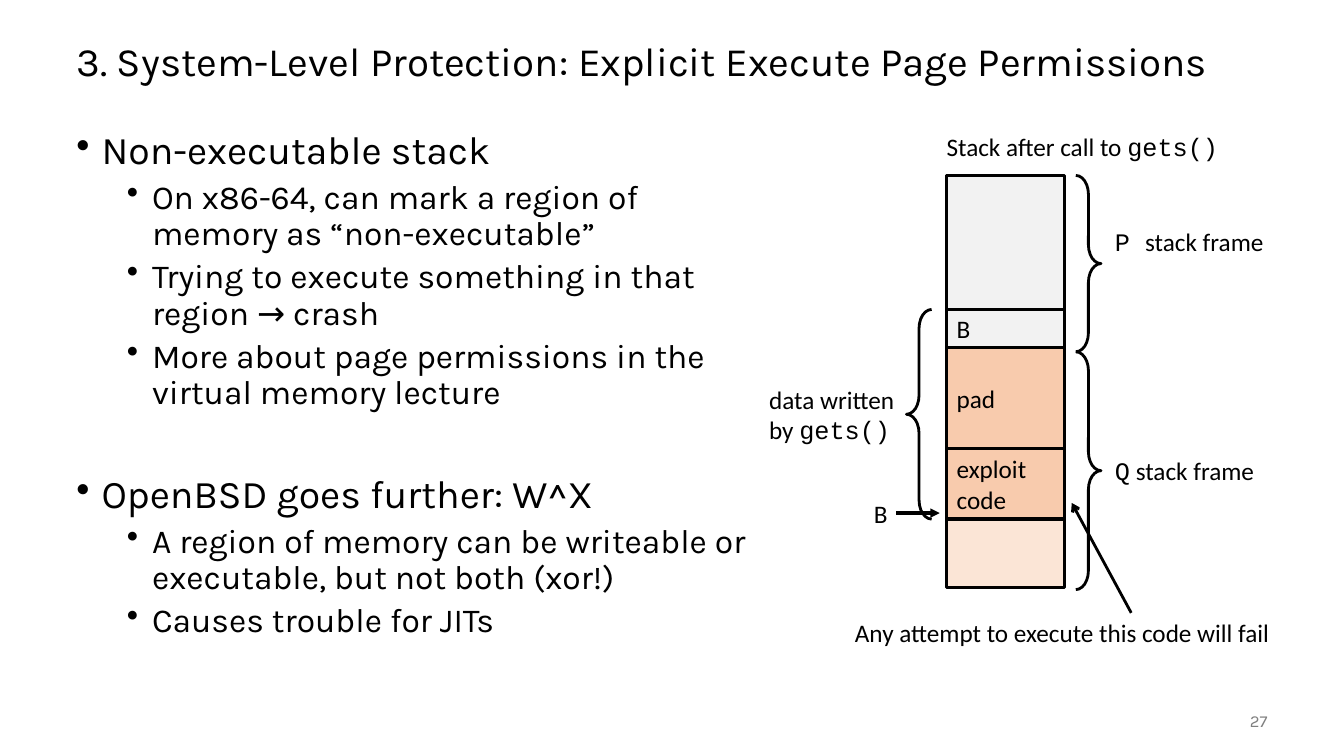
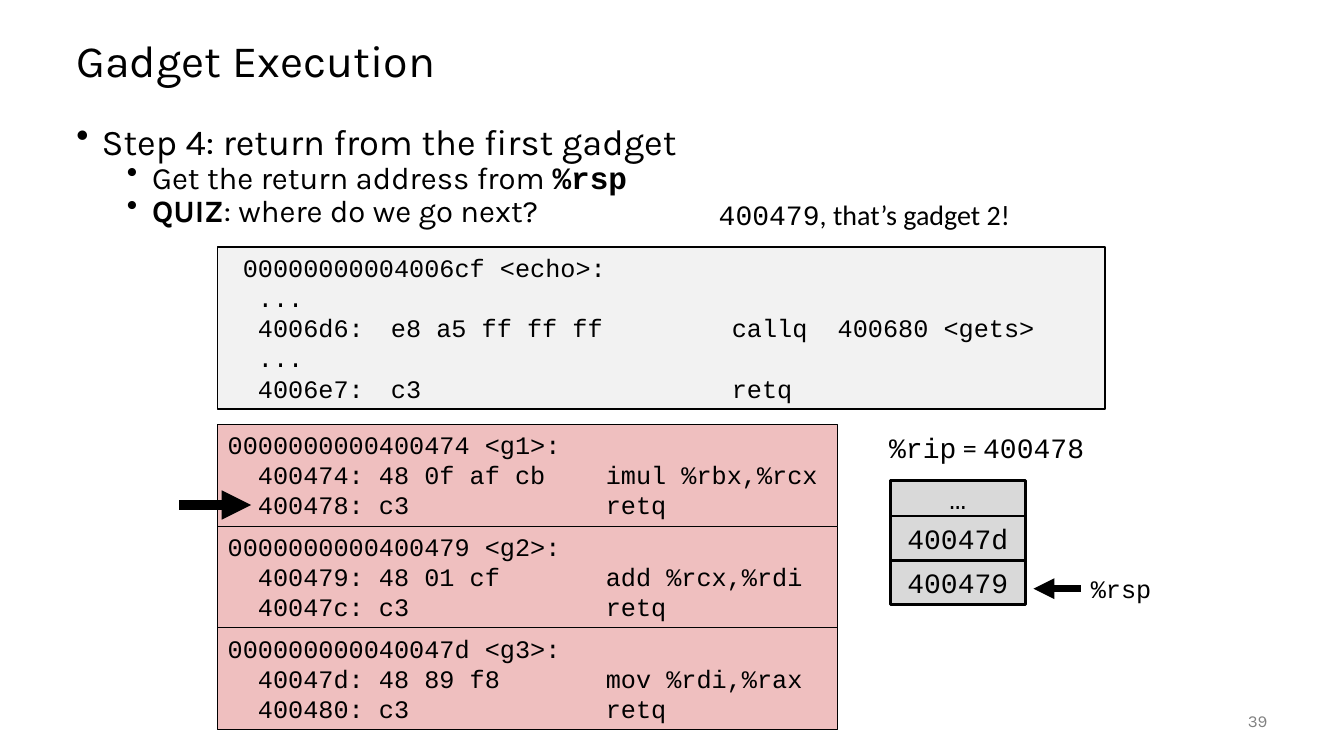
import dataclasses

import lxml.etree
import pptx
import pptx.dml.color
import pptx.enum.shapes
import pptx.enum.text
import pptx.oxml.ns
import pptx.util

Inches = pptx.util.Inches
Pt = pptx.util.Pt
Shapes = pptx.enum.shapes.MSO_SHAPE
Align = pptx.enum.text.PP_ALIGN
Anchor = pptx.enum.text.MSO_ANCHOR


@dataclasses.dataclass(frozen=True)
class Theme:
    """Colours, fonts and type sizes shared by the slides."""
    ink: str = "000000"
    muted: str = "808080"
    pale: str = "F2F2F2"
    gray: str = "D9D9D9"
    peach: str = "F8CBAD"
    light_peach: str = "FBE5D6"
    pink: str = "EFBFBF"
    heading: str = "Karla"
    label: str = "Calibri"
    code: str = "Courier New"
    label_size: float = 18
    value_size: float = 20
    number_size: float = 12


THEME = Theme()
HEADING = {"name": THEME.heading}
LABEL = {"name": THEME.label, "size": Pt(THEME.label_size)}
CODE = {"name": THEME.code, "size": Pt(THEME.label_size)}
VALUE = {"name": THEME.code, "size": Pt(THEME.value_size)}
MONO = {"name": THEME.code}


def rgb(color):
    """Return a colour object for a hexadecimal string."""
    return pptx.dml.color.RGBColor.from_string(color)


def apply(target, values):
    """Set each named attribute on the target."""
    for name, value in values.items():
        setattr(target, name, value)


def add_element(parent, tag, **attributes):
    """Append a drawing element to its parent."""
    return lxml.etree.SubElement(parent, pptx.oxml.ns.qn(tag), attributes)


def write_paragraph(paragraph, runs, font, color=THEME.ink, **layout):
    """Fill a paragraph with runs, each plain text or text with font changes."""
    apply(paragraph, layout)
    for run_spec in [runs] if isinstance(runs, str) else runs:
        text, changes = (run_spec, {}) if isinstance(run_spec, str) else run_spec
        run = paragraph.add_run()
        run.text = text
        apply(run.font, {**font, **changes})
        run.font.color.rgb = rgb(color)


def paragraphs_for(frame, count):
    """Return the given number of paragraphs in a new frame."""
    return [frame.paragraphs[0]] + [frame.add_paragraph() for _ in range(count - 1)]


def write_lines(frame, lines, font, tabs=(), **layout):
    """Write lines of text with common font, tab stops and layout."""
    for paragraph, runs in zip(paragraphs_for(frame, len(lines)), lines):
        if tabs:
            tab_list = add_element(paragraph._p.get_or_add_pPr(), "a:tabLst")
            for stop in tabs:
                add_element(tab_list, "a:tab", pos=str(Inches(stop)), algn="l")
        write_paragraph(paragraph, runs, font, **layout)


def add_label(slide, box, lines, font, wrap=False, anchor=Anchor.TOP, **layout):
    """Add a text box."""
    frame = slide.shapes.add_textbox(*map(Inches, box)).text_frame
    fit = pptx.enum.text.MSO_AUTO_SIZE
    apply(frame, {"word_wrap": wrap, "vertical_anchor": anchor,
                  "auto_size": fit.NONE if wrap else fit.SHAPE_TO_FIT_TEXT})
    write_lines(frame, lines, font, **layout)
    return frame


def add_shape(slide, kind, box, fill, width):
    """Add an outlined preset shape, filled when a colour is given."""
    shape = slide.shapes.add_shape(kind, *map(Inches, box))
    shape.shadow.inherit = False
    if fill:
        shape.fill.solid()
        shape.fill.fore_color.rgb = rgb(fill)
    else:
        shape.fill.background()
    shape.line.color.rgb = rgb(THEME.ink)
    shape.line.width = Pt(width)
    return shape


def add_cell(slide, box, fill, width, lines=(), font=LABEL, anchor=Anchor.MIDDLE,
             alignment=Align.LEFT, tabs=()):
    """Add a rectangle holding lines of text."""
    shape = add_shape(slide, Shapes.RECTANGLE, box, fill, width)
    apply(shape.text_frame, {"word_wrap": True, "vertical_anchor": anchor})
    if lines:
        write_lines(shape.text_frame, lines, font, tabs, alignment=alignment)


def add_brace(slide, kind, box):
    """Add a rounded curly brace."""
    brace = add_shape(slide, kind, box, None, 2)
    brace.adjustments[0] = 0.75


def add_arrow(slide, start, end, width, head="triangle"):
    """Add a straight arrow pointing at its end."""
    connector = slide.shapes.add_connector(
        pptx.enum.shapes.MSO_CONNECTOR.STRAIGHT, *map(Inches, start + end))
    connector.line.color.rgb = rgb(THEME.ink)
    connector.line.width = Pt(width)
    add_element(connector.line._get_or_add_ln(), "a:tailEnd", type=head)
    add_element(connector._element.spPr, "a:effectLst")


def add_page(presentation, title, title_size, number):
    """Add a blank slide with its title and page number."""
    slide = presentation.slides.add_slide(presentation.slide_layouts[6])
    add_label(slide, (0.66, 0.25, 12, 0.75), [title], {**HEADING, "size": Pt(title_size)},
              wrap=True, anchor=Anchor.MIDDLE, line_spacing=0.9)
    add_label(slide, (11.67, 6.95, 1, 0.4), [str(number)],
              {**HEADING, "size": Pt(THEME.number_size)}, wrap=True,
              anchor=Anchor.MIDDLE, alignment=Align.RIGHT, color=THEME.muted)
    return slide


def add_bullets(slide, box, items, sizes, line_spacing, topic_gap=14):
    """Add a two-level bullet list of (level, runs) items."""
    frame = slide.shapes.add_textbox(*map(Inches, box)).text_frame
    frame.word_wrap = True
    for index, (paragraph, (level, runs)) in enumerate(
            zip(paragraphs_for(frame, len(items)), items)):
        properties = paragraph._p.get_or_add_pPr()
        properties.set("marL", str(Inches(0.25 + 0.5 * level)))
        properties.set("indent", str(Inches(-0.25)))
        add_element(properties, "a:buChar", char="•")
        gap = 0 if index == 0 else (topic_gap, 5)[level]
        write_paragraph(paragraph, runs, {**HEADING, "size": Pt(sizes[level])},
                        level=level, line_spacing=line_spacing, space_before=Pt(gap))


def add_stack_diagram(slide, left, top):
    """Draw the overwritten stack with its frames and annotations."""
    width = 1.17
    cells = [(1.33, THEME.pale, []), (0.38, THEME.pale, ["B"]), (1, THEME.peach, ["pad"]),
             (0.7, THEME.peach, ["exploit", "code"]), (0.68, THEME.light_peach, [])]
    offset = 0
    for height, fill, lines in cells:
        add_cell(slide, (left, top + offset, width, height), fill, 2.25, lines)
        offset += height

    for kind, x, y, height in [(Shapes.RIGHT_BRACE, 1.28, 0, 1.75),
                               (Shapes.RIGHT_BRACE, 1.28, 1.75, 2.36),
                               (Shapes.LEFT_BRACE, -0.4, 1.33, 2.08)]:
        add_brace(slide, kind, (left + x, top + y, 0.25, height))

    for x, y, label_width, runs in [
            (-0.1, -0.49, 2.93, ["Stack after call to ", ("gets()", MONO)]),
            (1.57, 0.46, 1.7, [("P ", MONO), "stack frame"]),
            (1.57, 2.73, 1.61, [("Q", MONO), " stack frame"]),
            (-0.82, 3.15, 0.34, "B")]:
        add_label(slide, (left + x, top + y, label_width, 0.4), [runs], LABEL)
    add_label(slide, (left - 1.86, top + 2.02, 1.5, 0.71),
              ["data written", ["by ", ("gets()", MONO)]], LABEL,
              wrap=True, anchor=Anchor.MIDDLE)
    add_label(slide, (left - 1.2, top + 4.34, 4.5, 0.4),
              ["Any attempt to execute this code will fail"], LABEL, alignment=Align.RIGHT)

    add_arrow(slide, (left - 0.5, top + 3.35), (left - 0.07, top + 3.35), 2.25)
    add_arrow(slide, (left + 1.83, top + 4.34), (left + 1.24, top + 3.25), 2, "arrow")


def add_code_listing(slide, left, top):
    """Draw the calling function and the gadgets below it."""
    echo = [" 00000000004006cf <echo>:", "  ...",
            "  4006d6:\te8 a5 ff ff ff\tcallq  400680 <gets>", "  ...",
            "  4006e7:\tc3\tretq"]
    gadgets = [
        ["0000000000400474 <g1>:", "  400474: 48 0f af cb\timul %rbx,%rcx", "  400478: c3\tretq"],
        ["0000000000400479 <g2>:", "  400479: 48 01 cf\tadd %rcx,%rdi", "  40047c: c3\tretq"],
        ["000000000040047d <g3>:", "  40047d: 48 89 f8\tmov %rdi,%rax", "  400480: c3\tretq"]]
    add_cell(slide, (left, top, 8.8, 1.61), THEME.pale, 1, echo, CODE, Anchor.TOP,
             tabs=(1.62, 5))
    height = 1.01
    for index, lines in enumerate(gadgets):
        add_cell(slide, (left, top + 1.76 + index * height, 6.15, height), THEME.pink, 0.75,
                 lines, CODE, Anchor.TOP, tabs=(3.75,))
    add_arrow(slide, (left - 0.38, top + 2.56), (left + 0.33, top + 2.56), 7)


def add_register_state(slide, left, top):
    """Draw the instruction pointer, the stack values and the stack pointer."""
    add_label(slide, (left - 0.11, top - 0.55, 2.15, 0.44),
              [["%rip", (" = ", {"name": THEME.label}), "400478"]], VALUE)
    offset = 0
    for height, value in [(0.35, "…"), (0.44, "40047d"), (0.44, "400479")]:
        add_cell(slide, (left, top + offset, 1.34, height), THEME.gray, 2, [value], VALUE,
                 alignment=Align.CENTER)
        offset += height
    add_label(slide, (left + 1.89, top + 0.87, 1.02, 0.4), ["%rsp"], CODE, wrap=True)
    add_arrow(slide, (left + 1.89, top + 1.07), (left + 1.42, top + 1.07), 5)


def build_permissions_slide(presentation):
    """Build the slide on execute permissions."""
    slide = add_page(presentation,
                     "3. System-Level Protection: Explicit Execute Page Permissions", 28.8, 27)
    add_bullets(slide, (0.66, 1.25, 6.86, 5.5), [
        (0, "Non-executable stack"),
        (1, "On x86-64, can mark a region of memory as “non-executable”"),
        (1, "Trying to execute something in that region → crash"),
        (1, "More about page permissions in the virtual memory lecture"),
        (0, "OpenBSD goes further: W^X"),
        (1, "A region of memory can be writeable or executable, but not both (xor!)"),
        (1, "Causes trouble for JITs")], (28, 24), 0.9, topic_gap=45)
    add_stack_diagram(slide, 9.39, 1.74)


def build_gadget_slide(presentation):
    """Build the slide on returning from a gadget."""
    slide = add_page(presentation, "Gadget Execution", 32, 39)
    add_bullets(slide, (0.66, 1.25, 12, 1.08), [
        (0, "Step 4: return from the first gadget"),
        (1, ["Get the return address from ", ("%rsp", {**MONO, "bold": True})]),
        (1, [("QUIZ", {"bold": True}), ": where do we go next?"])], (25.9, 22.2), 0.7)
    add_code_listing(slide, 2.16, 2.45)
    add_register_state(slide, 8.83, 4.77)
    add_label(slide, (7.03, 1.91, 3.15, 0.44),
              [["400479", (", that’s gadget 2!", {"name": THEME.label})]], VALUE)


def main():
    """Build and save the presentation."""
    presentation = pptx.Presentation()
    apply(presentation, {"slide_width": Inches(13.33), "slide_height": Inches(7.5)})
    build_permissions_slide(presentation)
    build_gadget_slide(presentation)
    presentation.save("out.pptx")


if __name__ == "__main__":
    main()
